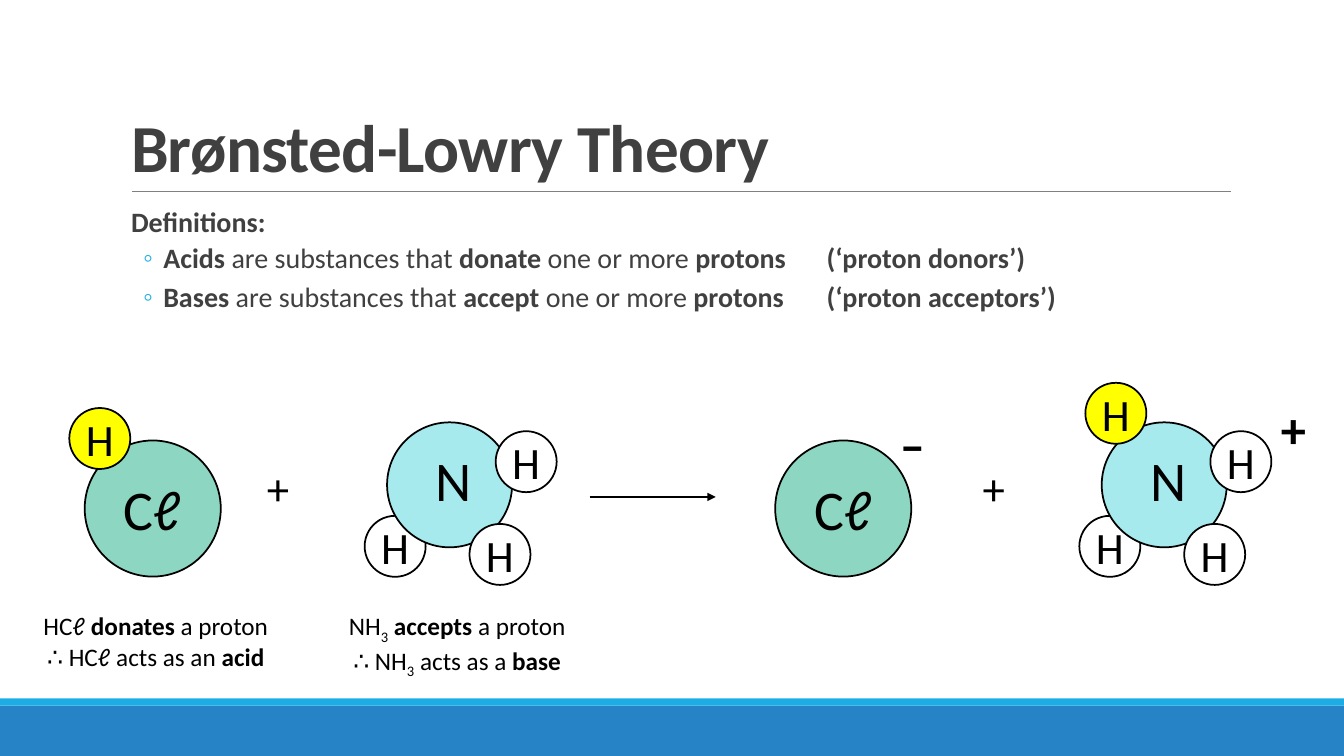
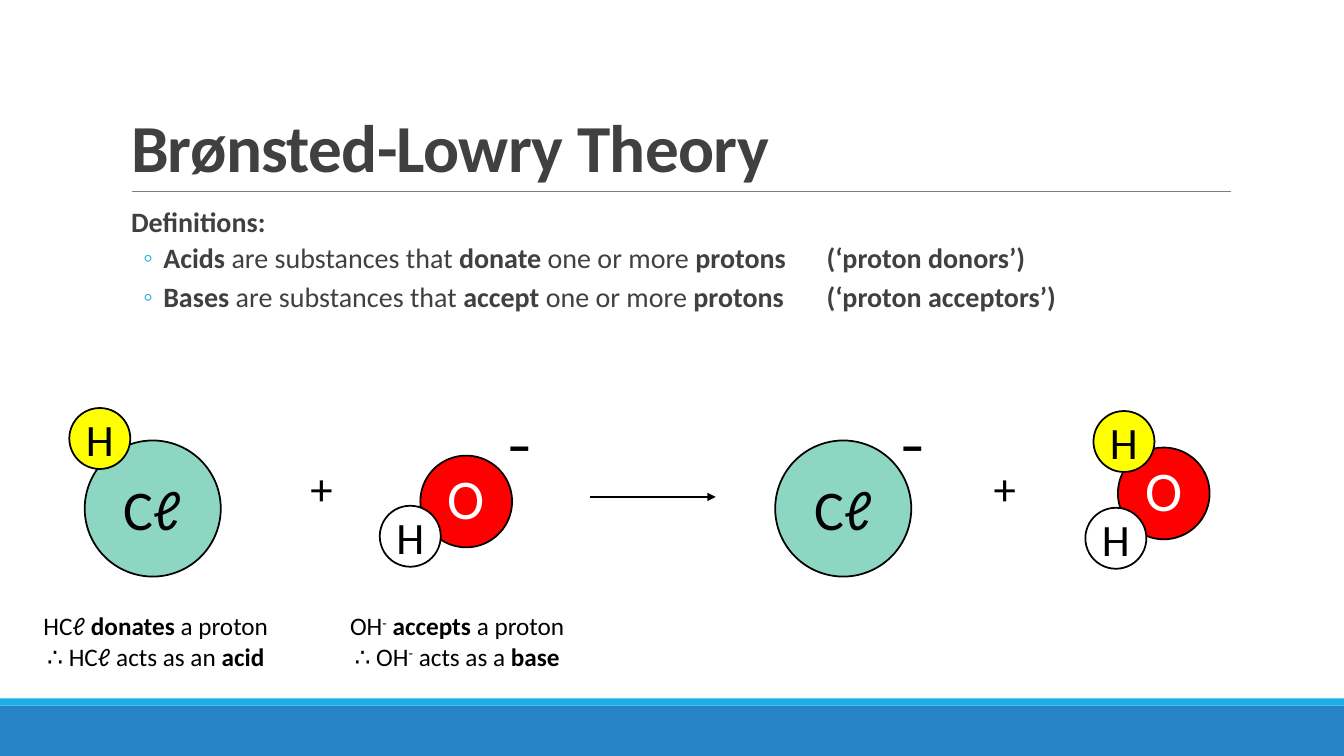
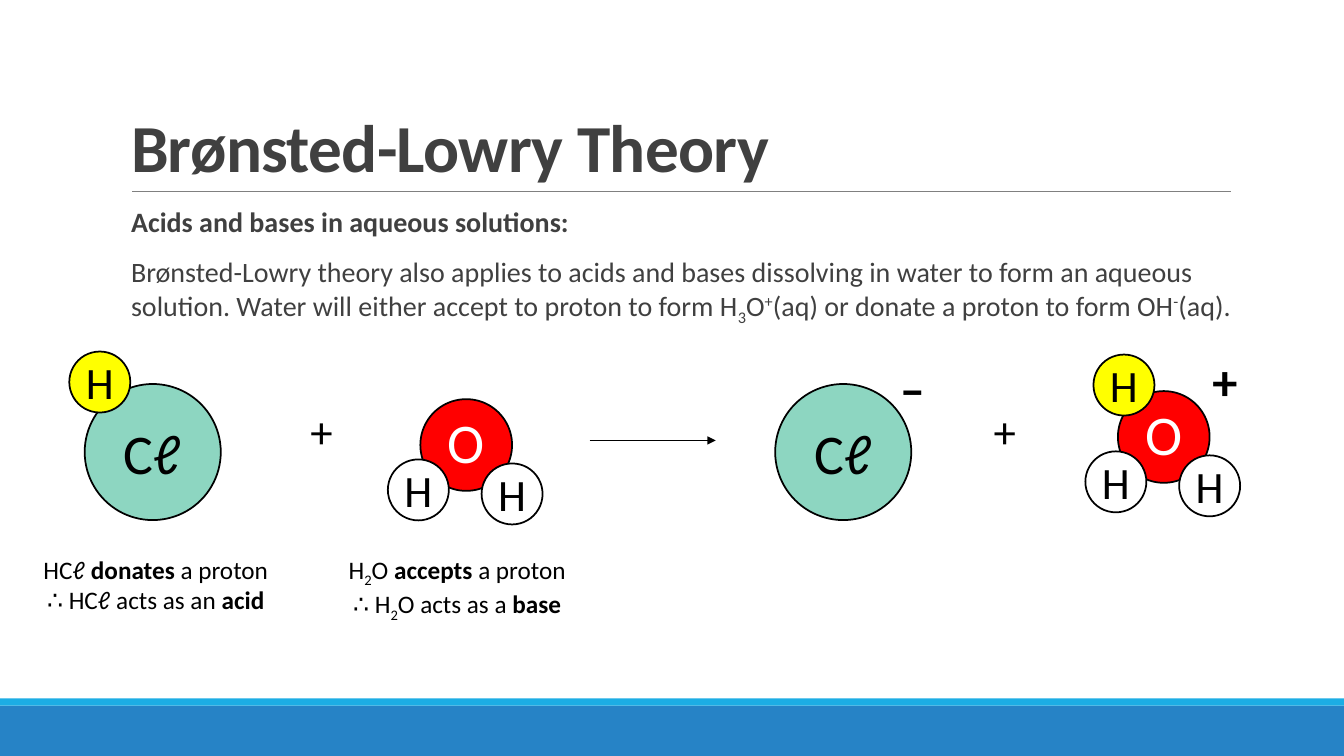
from dataclasses import dataclass

from lxml.etree import SubElement
from pptx import Presentation
from pptx.dml.color import RGBColor
from pptx.enum.shapes import MSO_CONNECTOR, MSO_SHAPE
from pptx.enum.text import MSO_ANCHOR, MSO_AUTO_SIZE, PP_ALIGN
from pptx.oxml.ns import qn
from pptx.util import Inches, Pt

COLORS = {
    "band": "2683C6", "accent": "1CADE4", "rule": "808080", "text": "404040",
    "black": "000000", "white": "FFFFFF", "chlorine": "8DD6C1",
    "nitrogen": "A6EAEE", "oxygen": "FF0000", "proton": "FFFF00",
}
FONT = "Calibri"
COLUMNS, ROWS = 133.33, 75


def cells(count):
    return Inches(count / 10)


@dataclass
class Box:
    left: float
    top: float
    width: float
    height: float

    def inner(self, left, top, width, height):
        return Box(self.left + left, self.top + top, width, height)

    def place(self, shape):
        shape.left, shape.top = cells(self.left), cells(self.top)
        shape.width, shape.height = cells(self.width), cells(self.height)

    def lengths(self):
        return [cells(n) for n in (self.left, self.top, self.width, self.height)]


@dataclass
class Atom:
    symbol: str
    diameter: float
    fill: str
    size: int = 32
    ink: str = "black"
    shift_right: float = 0
    shift_up: float = 0


CHLORINE = Atom("Cℓ", 13.5, "chlorine", 40)
NITROGEN = Atom("N", 12.4, "nitrogen", 40, shift_right=0.4, shift_up=0.55)
OXYGEN = Atom("O", 9.1, "oxygen", 40, "white", shift_up=0.4)
HYDROGEN = Atom("H", 6.05, "white")
PROTON = Atom("H", 6.05, "proton")

CHLORIDE = [(CHLORINE, 0, 0)]
HYDROGEN_CHLORIDE = CHLORIDE + [(PROTON, -5.25, -6.95)]
AMMONIA = [(HYDROGEN, -5.4, 6.1), (NITROGEN, 0, 0),
           (HYDROGEN, 7.6, -2.3), (HYDROGEN, 5, 6.9)]
AMMONIUM = AMMONIA + [(PROTON, -4.8, -7.1)]
HYDROXIDE = [(OXYGEN, 0, 0), (HYDROGEN, -5.55, 3.45)]
WATER = [(OXYGEN, 0, 0), (HYDROGEN, 4.55, 4.85), (HYDROGEN, -4.75, 4.45)]
NEW_PROTON = (PROTON, -3.95, -5.15)
NEW_WATER = [(OXYGEN, 0, 0), (HYDROGEN, -4.75, 4.45), NEW_PROTON]
HYDRONIUM = WATER + [NEW_PROTON]

TITLE_BOX = Box(12, 3.1, 110, 15.9)
BODY_BOX = Box(12, 20.2, 110, 12.7)
WIDE_BODY_BOX = Box(12, 20.2, 111, 17.1)
REACTION_BOX = Box(0, 38, COLUMNS, 30)
RAISED_REACTION_BOX = Box(0, 32.4, COLUMNS, 30)

DEFINITIONS = [
    (0, [("Definitions:", "bold")]),
    (1, [("Acids ", "bold"), ("are substances that ", ""), ("donate", "bold"),
         (" one or more ", ""), ("protons\t(‘proton donors’)", "bold")]),
    (1, [("Bases", "bold"), (" are substances that ", ""), ("accept ", "bold"),
         ("one or more ", ""), ("protons\t(‘proton acceptors’)", "bold")]),
]
AQUEOUS = [
    (0, [("Acids and bases in aqueous solutions:", "bold")]),
    (0, [("Brønsted-Lowry theory also applies to acids and bases dissolving in "
          "water to form an aqueous solution. Water will either accept to proton "
          "to form H", ""), ("3", "sub"), ("O", ""), ("+", "super"),
         ("(aq) or donate a proton to form OH", ""), ("-", "super"), ("(aq).", "")]),
]


def color(name):
    return RGBColor.from_string(COLORS[name])


def add_runs(paragraph, runs, size, ink="black"):
    for text, style in runs:
        run = paragraph.add_run()
        run.text = text
        run.font.name, run.font.size = FONT, Pt(size)
        run.font.bold = style == "bold"
        run.font.color.rgb = color(ink)
        if style in ("sub", "super"):
            baseline = "-25000" if style == "sub" else "30000"
            run._r.get_or_add_rPr().set("baseline", baseline)


def add_filled(slide, kind, box, fill, outline=None):
    shape = slide.shapes.add_shape(kind, *box.lengths())
    shape.shadow.inherit = False
    shape.fill.solid()
    shape.fill.fore_color.rgb = color(fill)
    if outline:
        shape.line.color.rgb = color(outline)
        shape.line.width = Pt(1.25)
    else:
        shape.line.fill.background()
    return shape


def add_line(slide, left, top, length, ink, weight, arrow=False):
    line = slide.shapes.add_connector(
        MSO_CONNECTOR.STRAIGHT, cells(left), cells(top), cells(left + length), cells(top))
    line.line.color.rgb = color(ink)
    line.line.width = Pt(weight)
    if arrow:
        SubElement(line.line._get_or_add_ln(), qn("a:tailEnd"), type="triangle")
    SubElement(line._element.spPr, qn("a:effectLst"))
    return line


def add_text(slide, box, lines, size, alignment=PP_ALIGN.LEFT):
    frame = slide.shapes.add_textbox(*box.lengths()).text_frame
    frame.word_wrap = True
    for index, runs in enumerate(lines):
        paragraph = frame.add_paragraph() if index else frame.paragraphs[0]
        paragraph.alignment = alignment
        add_runs(paragraph, runs, size)


def furnish_layout(layout, slide):
    furniture = [
        add_filled(slide, MSO_SHAPE.RECTANGLE, Box(0, 70, COLUMNS, 5), "band"),
        add_filled(slide, MSO_SHAPE.RECTANGLE, Box(0, 69.3, COLUMNS, 0.7), "accent"),
        add_line(slide, 13.1, 19, 109, "rule", 0.5),
    ]
    for position, shape in enumerate(furniture, start=2):
        layout.shapes._spTree.insert(position, shape._element)


def fill_title(slide, box, text):
    title = slide.shapes.title
    box.place(title)
    frame = title.text_frame
    frame.auto_size = MSO_AUTO_SIZE.NONE
    frame.vertical_anchor = MSO_ANCHOR.BOTTOM
    paragraph = frame.paragraphs[0]
    paragraph.alignment = PP_ALIGN.LEFT
    paragraph.line_spacing = 0.85
    add_runs(paragraph, [(text, "bold")], 48, "text")
    paragraph.runs[0]._r.get_or_add_rPr().set("spc", "-50")


def set_bullet(paragraph, level):
    properties = paragraph._p.get_or_add_pPr()
    properties.set("marL", str(Inches(0.42 if level else 0.1)))
    properties.set("indent", str(Inches(-0.2 if level else 0)))
    if level:
        paragraph.level = level
        bullet_color = SubElement(properties, qn("a:buClr"))
        SubElement(bullet_color, qn("a:srgbClr"), val=COLORS["accent"])
        SubElement(properties, qn("a:buChar"), char="◦")
    else:
        SubElement(properties, qn("a:buNone"))


def fill_body(slide, box, items):
    body = slide.placeholders[1]
    box.place(body)
    frame = body.text_frame
    frame.auto_size = MSO_AUTO_SIZE.NONE
    frame.vertical_anchor = MSO_ANCHOR.TOP
    frame.margin_left = frame.margin_right = 0
    for index, (level, runs) in enumerate(items):
        paragraph = frame.add_paragraph() if index else frame.paragraphs[0]
        set_bullet(paragraph, level)
        paragraph.line_spacing = 0.9
        paragraph.space_before = Pt((2 if level else 12) if index else 0)
        paragraph.space_after = Pt(4 if level else 2)
        add_runs(paragraph, runs, 20, "text")


def add_molecule(slide, box, atoms, center_left, center_top):
    for atom, right, down in atoms:
        radius = atom.diameter / 2
        atom_box = box.inner(center_left + right - radius, center_top + down - radius,
                             atom.diameter, atom.diameter)
        shape = add_filled(slide, MSO_SHAPE.OVAL, atom_box, atom.fill, "black")
        frame = shape.text_frame
        frame.word_wrap = False
        frame.vertical_anchor = MSO_ANCHOR.MIDDLE
        frame.margin_right = frame.margin_top = 0
        frame.margin_left = cells(2 * atom.shift_right)
        frame.margin_bottom = cells(2 * atom.shift_up)
        paragraph = frame.paragraphs[0]
        paragraph.alignment = PP_ALIGN.CENTER
        add_runs(paragraph, [(atom.symbol, "")], atom.size, atom.ink)


def add_caption(slide, box, left, formula, verb, role):
    lines = [
        formula + [(" ", ""), (verb + " ", "bold"), ("a proton", "")],
        [("∴ ", "")] + formula + [(f" acts as {role[0]} ", ""), (role[1], "bold")],
    ]
    add_text(slide, box.inner(left, 22.1, 26.5, 7.1), lines, 18, PP_ALIGN.CENTER)


def add_reaction(slide, box, base, product, formula, pluses, charges):
    add_molecule(slide, box, HYDROGEN_CHLORIDE, 15.15, 12.45)
    add_molecule(slide, box, *base)
    add_line(slide, box.left + 58.5, box.top + 11.3, 12.5, "black", 1, arrow=True)
    add_molecule(slide, box, CHLORIDE, 83.65, 12.45)
    add_molecule(slide, box, *product)
    for left in pluses:
        add_text(slide, box.inner(left, 7.2, 6, 6.4), [[("+", "")]], 32)
    for sign, left, top in [("–", 88.3, 2.5)] + charges:
        add_text(slide, box.inner(left, top, 6, 7.1), [[(sign, "bold")]], 36)
    add_caption(slide, box, 2.2, [("HCℓ", "")], "donates", ("an", "acid"))
    add_caption(slide, box, 32.1, formula, "accepts", ("a", "base"))


SLIDES = [
    (BODY_BOX, DEFINITIONS, REACTION_BOX, {
        "base": (AMMONIA, 44.6, 10.1), "product": (AMMONIUM, 115.5, 10.1),
        "formula": [("NH", ""), ("3", "sub")],
        "pluses": (25.5, 96.5), "charges": [("+", 126.1, 1)]}),
    (BODY_BOX, DEFINITIONS, REACTION_BOX, {
        "base": (HYDROXIDE, 46.25, 11.75), "product": (NEW_WATER, 115.45, 10.95),
        "formula": [("OH", ""), ("-", "super")],
        "pluses": (29.8, 97.6), "charges": [("–", 49.3, 2.5)]}),
    (WIDE_BODY_BOX, AQUEOUS, RAISED_REACTION_BOX, {
        "base": (WATER, 46.25, 11.75), "product": (HYDRONIUM, 115.45, 10.95),
        "formula": [("H", ""), ("2", "sub"), ("O", "")],
        "pluses": (29.8, 97.6), "charges": [("+", 119.3, 1.8)]}),
]


def main():
    presentation = Presentation()
    presentation.slide_width, presentation.slide_height = cells(COLUMNS), cells(ROWS)
    layout = presentation.slide_layouts[1]
    for index, (body_box, items, reaction_box, reaction) in enumerate(SLIDES):
        slide = presentation.slides.add_slide(layout)
        if index == 0:
            furnish_layout(layout, slide)
        fill_title(slide, TITLE_BOX, "Brønsted-Lowry Theory")
        fill_body(slide, body_box, items)
        add_reaction(slide, reaction_box, **reaction)
    presentation.save("out.pptx")


if __name__ == "__main__":
    main()
